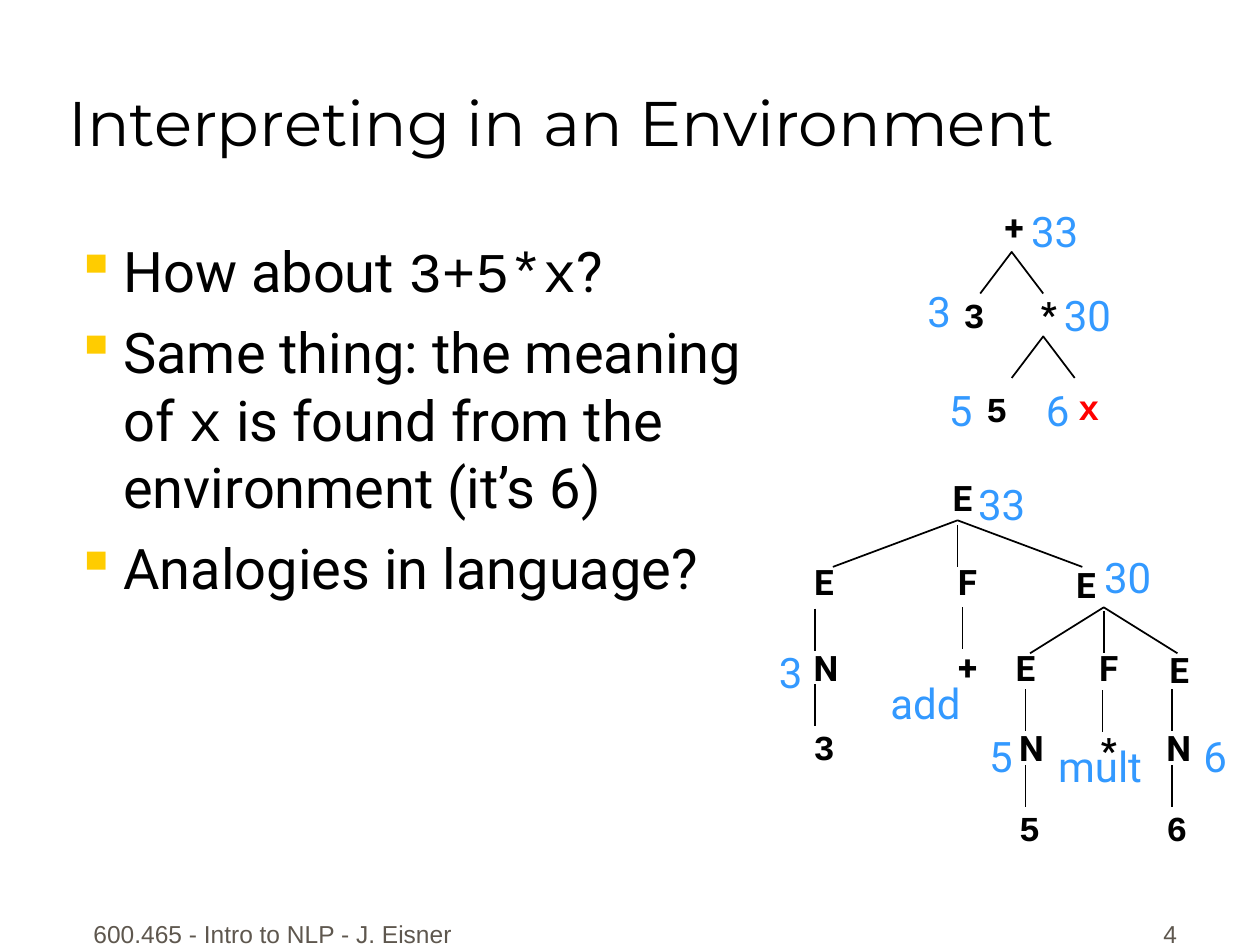
from lxml import etree
from pptx import Presentation
from pptx import util as u
from pptx.dml.color import RGBColor
from pptx.enum import shapes, text
from pptx.oxml.ns import qn

CELL = 0.1
INK = {"black": "000000", "blue": "3399FF", "red": "FF0000",
       "gold": "FFCC00", "grey": "5E574E"}
FONT = {"head": "Montserrat", "main": "Roboto", "code": "Courier New", "foot": "Arial"}
LEFT, MID, RIGHT = text.PP_ALIGN.LEFT, text.PP_ALIGN.CENTER, text.PP_ALIGN.RIGHT


def grid(*cells):
    return [u.Inches(round(c * CELL, 3)) for c in cells]


class Deck:
    def __init__(self, cols, rows):
        self.prs = Presentation()
        self.prs.slide_width, self.prs.slide_height = grid(cols, rows)
        self.slide = self.prs.slides.add_slide(self.prs.slide_layouts[5])
        self.items = self.slide.shapes

    def run(self, para, words, size, font="main", ink="black", bold=False):
        run = para.add_run()
        run.text = words
        face = run.font
        face.size, face.name, face.bold = u.Pt(size), FONT[font], bold
        face.color.rgb = RGBColor.from_string(INK[ink])

    def box(self, *area):
        frame = self.items.add_textbox(*grid(*area)).text_frame
        frame.word_wrap = True
        return frame

    def title(self, words, area):
        head = self.items.title
        head.left, head.top, head.width, head.height = grid(*area)
        frame = head.text_frame
        frame.auto_size = text.MSO_AUTO_SIZE.NONE
        frame.vertical_anchor = text.MSO_ANCHOR.BOTTOM
        para = frame.paragraphs[0]
        para.alignment = LEFT
        self.run(para, words, 36, "head")

    def foot(self, words, area, align):
        frame = self.box(*area)
        frame.vertical_anchor = text.MSO_ANCHOR.BOTTOM
        para = frame.paragraphs[0]
        para.alignment = align
        self.run(para, words, 14, "foot", "grey")

    def points(self, area, points):
        frame = self.box(*area)
        for i, parts in enumerate(points):
            para = frame.add_paragraph() if i else frame.paragraphs[0]
            para.space_before = u.Pt(8)
            self.bullet(para)
            for words, font in parts:
                for j, line in enumerate(words.split("\n")):
                    if j:
                        para.add_line_break()
                    self.run(para, line, 32, font)

    def bullet(self, para):
        props = para._p.get_or_add_pPr()
        dent = u.Inches(0.38)
        props.set("marL", str(dent))
        props.set("indent", str(-dent))
        tint = etree.SubElement(props, qn("a:buClr"))
        etree.SubElement(tint, qn("a:srgbClr")).set("val", INK["gold"])
        etree.SubElement(props, qn("a:buChar")).set("char", "▪")

    def label(self, words, mid, top, size, font, ink, bold):
        wide = 2 + len(words) * size * 0.08
        frame = self.box(mid - wide / 2, top, wide, 2 + size / 8)
        frame.word_wrap = False
        frame.auto_size = text.MSO_AUTO_SIZE.SHAPE_TO_FIT_TEXT
        para = frame.paragraphs[0]
        para.alignment = MID
        self.run(para, words, size, font, ink, bold)

    def node(self, words, mid, top):
        font = "code" if words.isdigit() or words == "x" else "main"
        self.label(words, mid, top, 20, font, "red" if words == "x" else "black", True)

    def value(self, words, mid, top):
        self.label(words, mid, top, 24, "main", "blue", False)

    def pen(self, shape):
        shape.line.width = u.Pt(1)
        shape.line.color.rgb = RGBColor.from_string(INK["black"])

    def fork(self, mid, top, half, drop):
        start, *rest = [grid(mid - half, top + drop), grid(mid, top),
                        grid(mid + half, top + drop)]
        path = self.items.build_freeform(*start)
        path.add_line_segments(rest, close=False)
        shape = path.convert_to_shape()
        shape.shadow.inherit = False
        shape.fill.background()
        self.pen(shape)

    def stem(self, mid, top):
        ends = grid(mid, top, mid, top + 3.33)
        line = self.items.add_connector(shapes.MSO_CONNECTOR.STRAIGHT, *ends)
        self.pen(line)
        etree.SubElement(line._element.spPr, qn("a:effectLst"))


TERM = [("+", 80.5, 15.8), ("3", 77.3, 22.8), ("*", 83.25, 22.7),
        ("5", 79.1, 30.3), ("x", 86.4, 30.1)]
PARSE = [("E", 76.4, 37.3), ("E", 65.4, 44), ("F", 76.8, 44), ("E", 86.2, 44.2),
         ("N", 65.4, 50.8), ("+", 76.8, 50.7), ("3", 65.4, 57.1),
         ("E", 81.4, 50.8), ("F", 88, 50.8), ("E", 93.6, 51),
         ("N", 81.7, 57.2), ("*", 88, 57.3), ("N", 93.4, 57.2),
         ("5", 81.7, 63.5), ("6", 93.4, 63.5)]
VALUES = [("33", 83.7, 15.8), ("3", 74.55, 22.2), ("30", 86.3, 22.5),
          ("5", 76.25, 30), ("6", 83.95, 30),
          ("33", 79.5, 37.5), ("30", 89.5, 43.3), ("3", 62.75, 50.8),
          ("add", 73.45, 53.3), ("5", 79.45, 57.5), ("mult", 87.3, 58.3),
          ("6", 96.45, 57.5)]
FORKS = [(80.3, 20, 2.5, 3.3), (82.8, 26.7, 2.5, 3.3),
         (76, 41.3, 9.9, 3.7), (87.6, 48.2, 5.85, 3.65)]
STEMS = [(76, 41.7), (87.6, 48.5), (64.7, 48.3), (64.7, 54.3), (76.4, 48.2),
         (81.4, 54.7), (81.4, 60.7), (87.5, 54.8), (93, 54.7), (93, 60.7)]
POINTS = [
    [("How about ", "main"), ("3+5*x", "code"), ("?", "main")],
    [("Same thing: the meaning\nof ", "main"), ("x", "code"),
     (" is found from the\nenvironment (it’s 6)", "main")],
    [("Analogies in language?", "main")],
]


def main():
    deck = Deck(100, 75)
    deck.foot("600.465 - Intro to NLP - J. Eisner", (5.8, 70.8, 31.7, 5), MID)
    deck.foot("4", (73.6, 70.8, 20.8, 5), RIGHT)
    deck.title("Interpreting in an Environment", (4.4, 0.6, 91.4, 12.5))
    deck.points((5, 18.3, 89.4, 50.8), POINTS)
    for draw, rows in ((deck.node, TERM + PARSE), (deck.fork, FORKS),
                       (deck.stem, STEMS), (deck.value, VALUES)):
        for row in rows:
            draw(*row)
    deck.prs.save("out.pptx")


if __name__ == "__main__":
    main()
